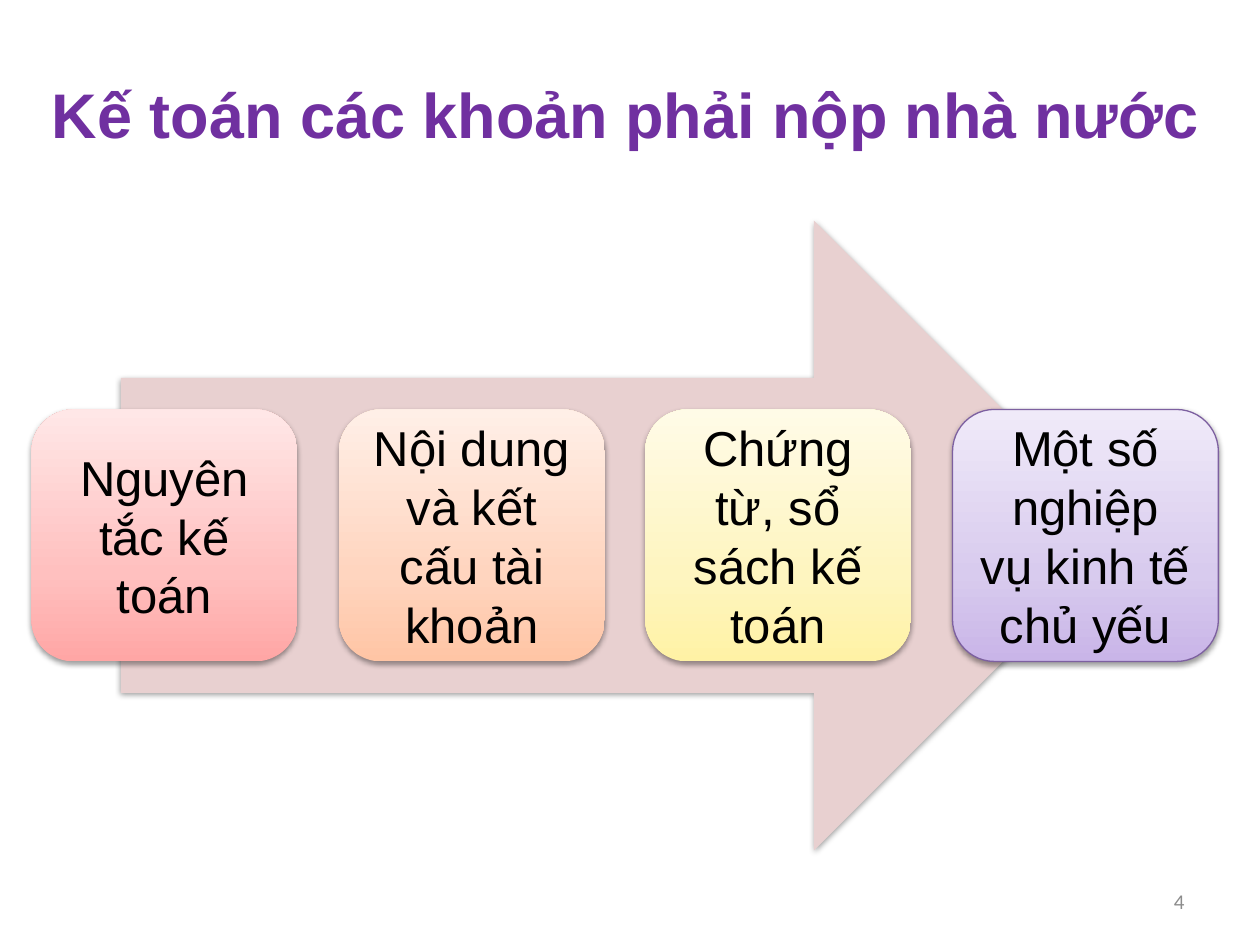
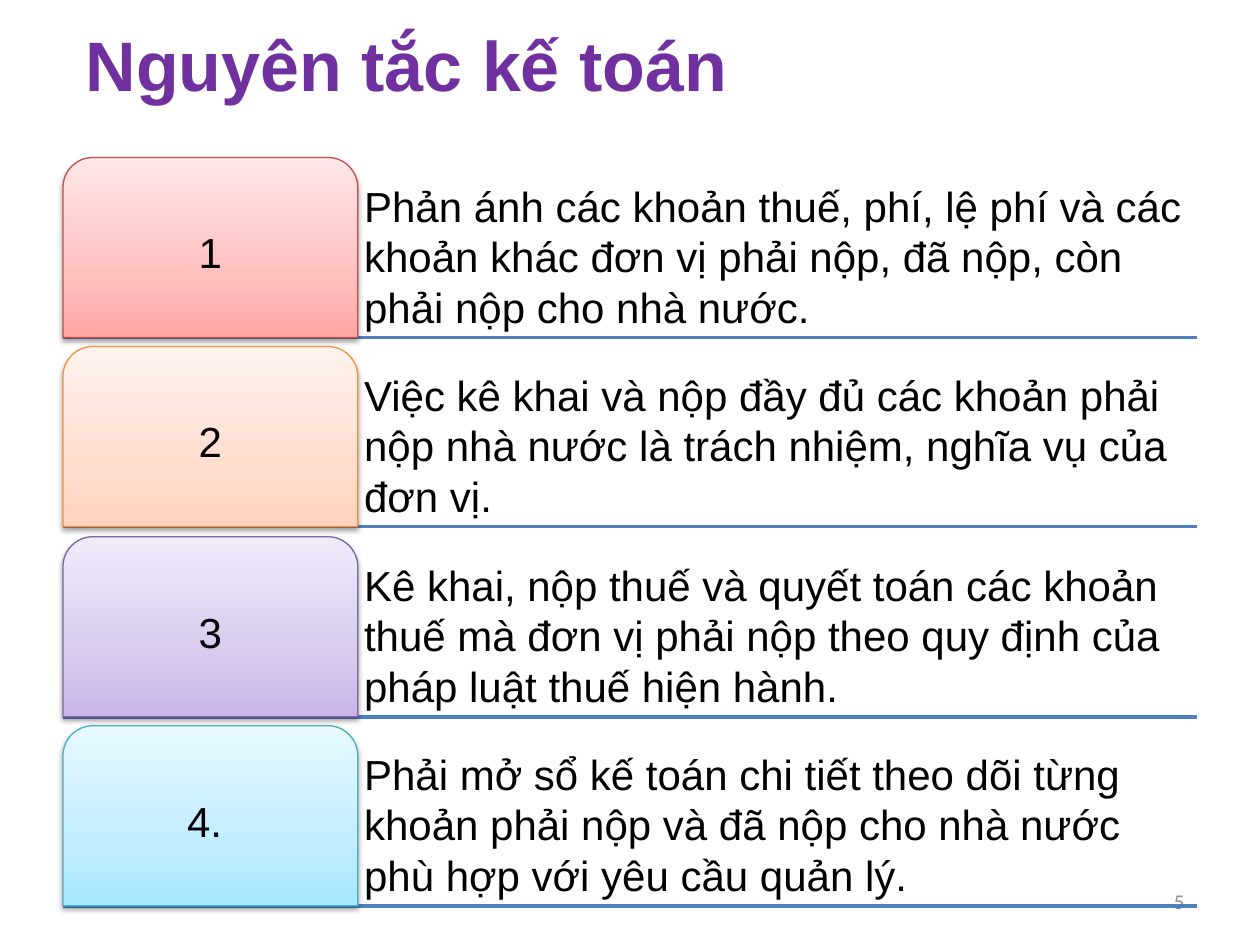
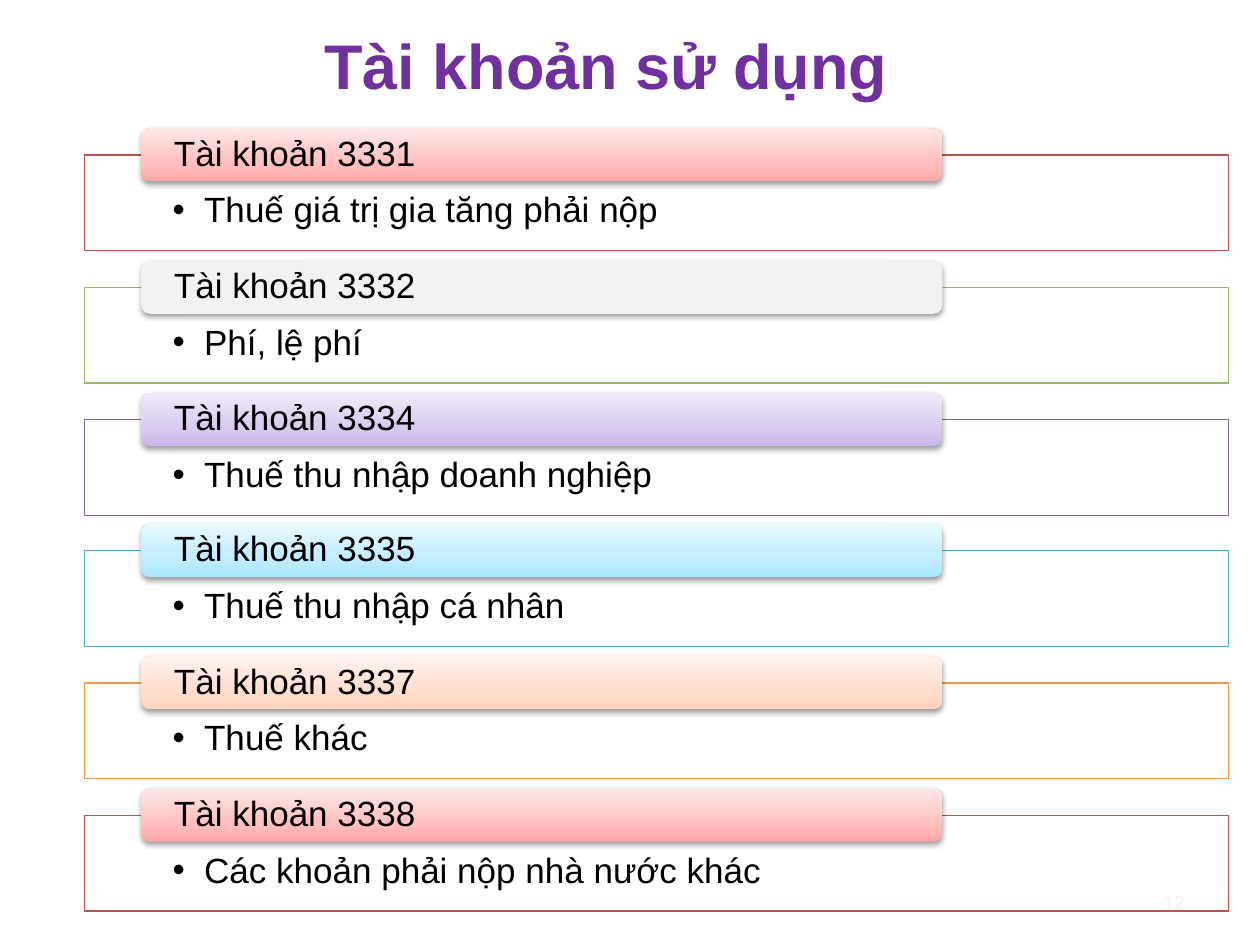
"""Builds three slides on accounting for amounts payable to the state."""
from copy import deepcopy

from lxml.etree import SubElement
from pptx import Presentation
from pptx.dml.color import RGBColor
from pptx.enum.shapes import MSO_CONNECTOR, MSO_SHAPE as SHAPE
from pptx.enum.text import MSO_ANCHOR as ANCHOR, MSO_AUTO_SIZE, PP_ALIGN as ALIGN
from pptx.oxml.ns import qn
from pptx.util import Emu, Pt

EMU_PER_PX = 9144
TITLE_ONLY = 5
COLORS = {
    "title": "7030A0", "text": "000000", "number": "8C8C8C", "white": "FFFFFF",
    "arrow": "E8D0D0", "gray": "F2F2F2", "rule": "4F81BD",
    "red": "C0504D", "green": "9BBB59", "purple": "8064A2", "violet": "7D60A0",
    "cyan": "4BACC6", "orange": "F79646", "amber": "F69240",
}
GRADIENTS = {
    "rose": ("FFA6A5", "FFC0BF", "FFE7E7"),
    "peach": ("FFC5A5", "FFD5BF", "FFEFE7"),
    "apricot": ("FFD2BD", "FFDED0", "FFF2ED"),
    "lemon": ("FFF2A5", "FEF5C0", "FFFBE7"),
    "lilac": ("C9B5E8", "D8CBEE", "F0EAF9"),
    "sky": ("A7E6FF", "C1EDFF", "E7F8FF"),
}
GRADIENT_POSITIONS = (0, 0.35, 1)
TOPICS = [
    ("Nguyên tắc kế toán", "rose", None),
    ("Nội dung và kết cấu tài khoản", "peach", None),
    ("Chứng từ, sổ sách kế toán", "lemon", None),
    ("Một số nghiệp vụ kinh tế chủ yếu", "lilac", "violet"),
]
PRINCIPLES = [
    ("1", "Phản ánh các khoản thuế, phí, lệ phí và các khoản khác đơn vị phải nộp, "
     "đã nộp, còn phải nộp cho nhà nước.", "rose", "red"),
    ("2", "Việc kê khai và nộp đầy đủ các khoản phải nộp nhà nước là trách nhiệm, "
     "nghĩa vụ của đơn vị.", "apricot", "amber"),
    ("3", "Kê khai, nộp thuế và quyết toán các khoản thuế mà đơn vị phải nộp theo "
     "quy định của pháp luật thuế hiện hành.", "lilac", "purple"),
    ("4. ", "Phải mở sổ kế toán chi tiết theo dõi từng khoản phải nộp và đã nộp cho "
     "nhà nước phù hợp với yêu cầu quản lý.", "sky", "cyan"),
]
ACCOUNTS = [
    ("Tài khoản 3331", "Thuế giá trị gia tăng phải nộp", "rose", "red"),
    ("Tài khoản 3332", "Phí, lệ phí", "gray", "green"),
    ("Tài khoản 3334", "Thuế thu nhập doanh nghiệp", "lilac", "purple"),
    ("Tài khoản 3335", "Thuế thu nhập cá nhân", "sky", "cyan"),
    ("Tài khoản 3337", "Thuế khác", "apricot", "orange"),
    ("Tài khoản 3338", "Các khoản phải nộp nhà nước khác", "rose", "red"),
]


def px(*lengths):
    return [Emu(length * EMU_PER_PX) for length in lengths]


def rgb(name):
    return RGBColor.from_string(COLORS[name])


class Deck:
    def __init__(self):
        self.presentation = Presentation()
        self.presentation.slide_width, self.presentation.slide_height = px(1000, 750)
        self.slide = None

    def start_slide(self, title, box, size, number, spacing=None):
        layout = self.presentation.slide_layouts[TITLE_ONLY]
        self.slide = self.presentation.slides.add_slide(layout)
        shape = self.slide.shapes.title
        shape.left, shape.top, shape.width, shape.height = px(*box)
        self.set_text(shape, title, size, align=ALIGN.CENTER, anchor=ANCHOR.BOTTOM,
                      color="title", bold=True, spacing=spacing)
        self.text_box(number, (717, 695, 233, 40), 12, align=ALIGN.RIGHT,
                      anchor=ANCHOR.MIDDLE, color="number", font="Calibri")

    def set_text(self, shape, text, size, align=ALIGN.LEFT, anchor=ANCHOR.TOP,
                 insets=(10, 5, 10, 5), color="text", font="Arial", bold=False,
                 spacing=None, bullet=False):
        frame = shape.text_frame
        frame.text = text
        frame.word_wrap = True
        frame.auto_size = MSO_AUTO_SIZE.NONE
        frame.vertical_anchor = anchor
        (frame.margin_left, frame.margin_top,
         frame.margin_right, frame.margin_bottom) = px(*insets)
        paragraph = frame.paragraphs[0]
        if bullet:
            self.add_bullet(paragraph)
        paragraph.alignment = align
        if spacing:
            paragraph.line_spacing = spacing
        for run in paragraph.runs:
            run.font.size = Pt(size)
            run.font.name = font
            run.font.bold = bold
            run.font.color.rgb = rgb(color)

    def add_bullet(self, paragraph):
        indent = px(25)[0]
        paragraph.level = 1
        properties = paragraph._p.get_or_add_pPr()
        properties.set("marL", str(indent))
        properties.set("indent", str(-indent))
        SubElement(properties, qn("a:buFont"), typeface="Arial")
        SubElement(properties, qn("a:buChar"), char="•")

    def text_box(self, text, box, size, **style):
        self.set_text(self.slide.shapes.add_textbox(*px(*box)), text, size, **style)

    def shape(self, kind, box, fill, line=None, shadow=True, opacity=None):
        shape = self.slide.shapes.add_shape(kind, *px(*box))
        self.paint(shape, fill, opacity)
        if line:
            shape.line.color.rgb = rgb(line)
            shape.line.width = Pt(0.75)
        else:
            shape.line.fill.background()
        shape.shadow.inherit = False
        if shadow:
            self.add_shadow(shape)
        return shape

    def paint(self, shape, fill, opacity):
        properties = shape._element.spPr
        if fill in GRADIENTS:
            shape.fill.gradient()
            shape.fill.gradient_angle = 90
            stop_list = properties.find(".//" + qn("a:gsLst"))
            stop_list.insert(1, deepcopy(stop_list[0]))
            for stop, position, color in zip(shape.fill.gradient_stops,
                                             GRADIENT_POSITIONS, GRADIENTS[fill]):
                stop.position = position
                stop.color.rgb = RGBColor.from_string(color)
        else:
            shape.fill.solid()
            shape.fill.fore_color.rgb = rgb(fill)
            if opacity:
                color = properties.find(qn("a:solidFill"))[0]
                SubElement(color, qn("a:alpha"), val=str(opacity * 1000))

    def add_shadow(self, shape):
        effects = shape._element.spPr.find(qn("a:effectLst"))
        shadow = SubElement(effects, qn("a:outerShdw"), blurRad="40000", dist="20000",
                            dir="5400000", rotWithShape="0")
        color = SubElement(shadow, qn("a:srgbClr"), val=COLORS["text"])
        SubElement(color, qn("a:alpha"), val="38000")

    def rule(self, left, right, top):
        connector = self.slide.shapes.add_connector(
            MSO_CONNECTOR.STRAIGHT, *px(left, top, right, top))
        connector.line.color.rgb = rgb("rule")
        connector.line.width = Pt(2)
        SubElement(connector._element.spPr, qn("a:effectLst"))


def build_topics(deck):
    deck.start_slide("Kế toán các khoản phải nộp nhà nước", (0, 21, 993, 104), 36, "4")
    deck.shape(SHAPE.RIGHT_ARROW, (96, 175, 800, 500), "arrow")
    for index, (topic, fill, line) in enumerate(TOPICS):
        left = 25 + round(index * 243.6)
        card = deck.shape(SHAPE.ROUNDED_RECTANGLE, (left, 325, 211, 200), fill, line)
        deck.set_text(card, topic, 28, align=ALIGN.CENTER, anchor=ANCHOR.MIDDLE,
                      insets=(12, 12, 12, 12))


def build_principles(deck):
    deck.start_slide("Nguyên tắc kế toán", (-150, 27, 945, 63), 40, "5", spacing=0.9)
    height = 143
    insets = (5, 5, 5, 5)
    for index, (number, principle, fill, line) in enumerate(PRINCIPLES):
        top = 125 + round(index * 150.4)
        deck.rule(50, 950, top + height)
        deck.text_box(principle, (284, top, 666, height), 24, anchor=ANCHOR.BOTTOM,
                      insets=insets)
        tab = deck.shape(SHAPE.ROUND_2_SAME_RECTANGLE, (50, top, 234, height), fill, line)
        deck.set_text(tab, number, 24, align=ALIGN.CENTER, anchor=ANCHOR.MIDDLE,
                      insets=insets)


def build_accounts(deck):
    deck.start_slide("Tài khoản sử dụng", (50, 18, 862, 68), 36, "12")
    for index, (account, content, fill, line) in enumerate(ACCOUNTS):
        top = 102 + round(index * 104.8)
        frame = deck.shape(SHAPE.RECTANGLE, (67, top + 21, 908, 76), "white", line,
                           shadow=False, opacity=90)
        deck.set_text(frame, content, 20, insets=(70, 30, 70, 16), spacing=0.9,
                      bullet=True)
        header = deck.shape(SHAPE.ROUNDED_RECTANGLE, (112, top, 636, 42), fill)
        deck.set_text(header, account, 20, anchor=ANCHOR.MIDDLE, insets=(24, 0, 24, 0),
                      spacing=0.9)


def main():
    deck = Deck()
    build_topics(deck)
    build_principles(deck)
    build_accounts(deck)
    deck.presentation.save("out.pptx")


if __name__ == "__main__":
    main()
